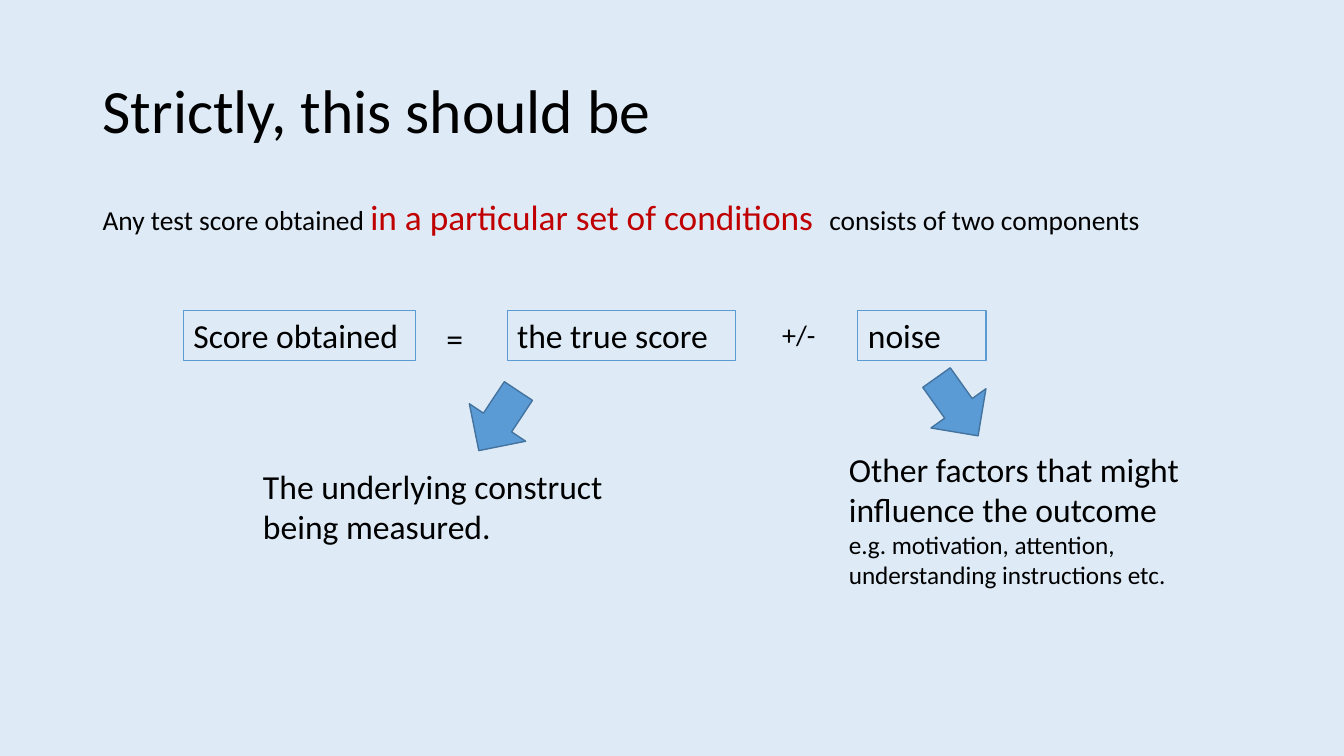
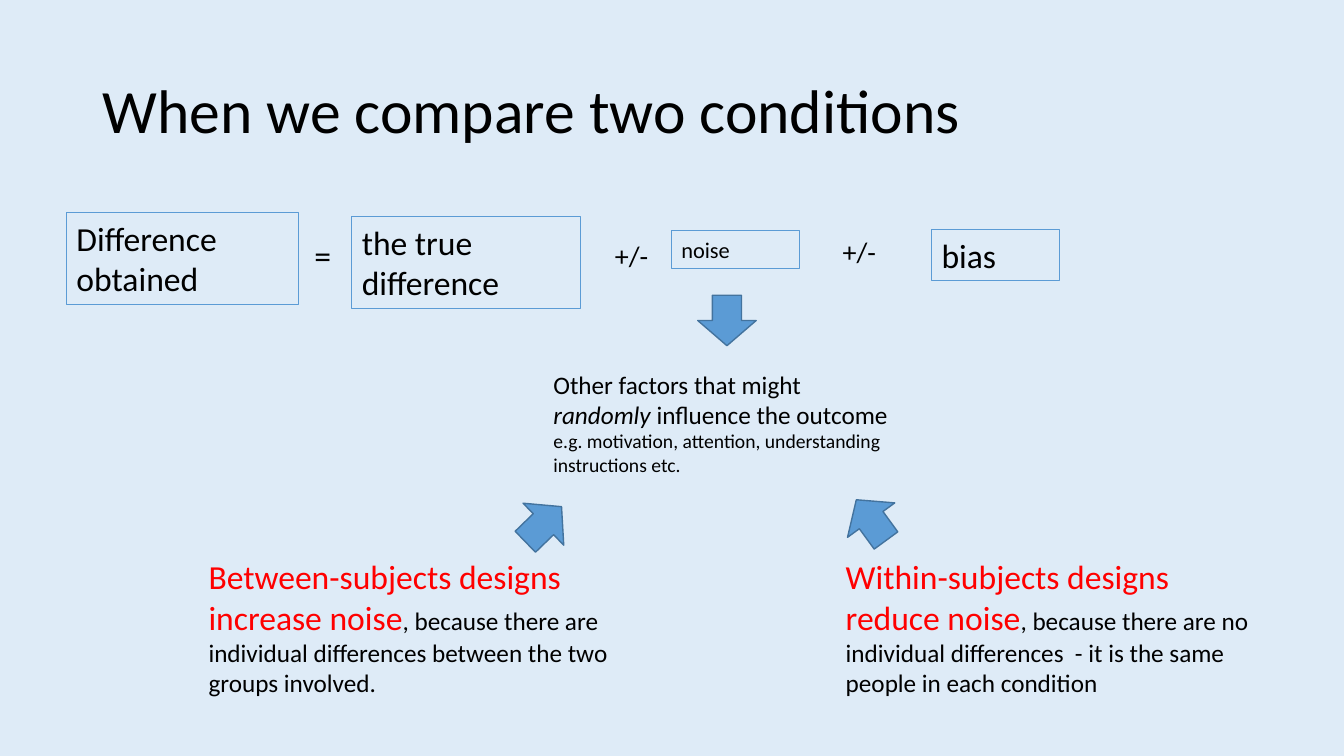
from pptx import Presentation
from pptx.dml.color import RGBColor
from pptx.enum.shapes import MSO_SHAPE
from pptx.enum.text import MSO_ANCHOR, PP_ALIGN
from pptx.util import Inches, Pt

FONT = "Calibri"
PALE, BLUE, EDGE = "DEEBF7", "5B9BD5", "43739E"
BLACK, CRIMSON, RED = "000000", "C00000", "FF0000"
TITLE_AT = (0.92, 0.4, 11.5, 1.45)
EXAMPLES = "e.g. motivation, attention, understanding instructions etc."

# A paragraph is (size, runs); a run is a string or (string, its own format).
# Terms and notes: (left, top, width, height), paragraphs.
# Arrows: (left, top, width, height), rotation.
SLIDES = [
    {
        "title": "Strictly, this should be",
        "lead": ((0.92, 2, 11.5, 0.66), [(19.6, [
            "Any test score obtained ",
            ("in a particular set of conditions  ", {"size": 25.2, "color": CRIMSON}),
            "consists of two components"])]),
        "terms": [
            ((1.82, 3.08, 2.3, 0.5), [(24, ["Score obtained"])]),
            ((5.03, 3.08, 2.27, 0.5), [(24, ["the true score"])]),
            ((8.51, 3.08, 1.27, 0.5), [(24, ["noise"])]),
        ],
        "notes": [
            ((4.33, 3.1, 0.47, 0.5), [(24, ["="])]),
            ((7.66, 3.1, 0.67, 0.44), [(20, ["+/-"])]),
            ((2.51, 4.57, 3.65, 0.91),
             [(24, ["The underlying construct being measured."])]),
            ((8.32, 4.4, 4.29, 1.51), [
                (24, ["Other factors that might influence the outcome"]),
                (18, [EXAMPLES])]),
        ],
        "arrows": [((4.61, 3.82, 0.67, 0.71), 33.6),
                   ((9.16, 3.68, 0.67, 0.71), 324.5)],
    },
    {
        "title": "When we compare two conditions",
        "terms": [
            ((0.66, 2.11, 2.3, 0.91), [(24, ["Difference obtained"])]),
            ((3.49, 2.15, 2.27, 0.91), [(24, ["the true difference"])]),
            ((6.66, 2.29, 1.27, 0.37), [(16, ["noise"])]),
            ((9.24, 2.28, 1.27, 0.5), [(24, ["bias"])]),
        ],
        "notes": [
            ((3.02, 2.28, 0.47, 0.5), [(24, ["="])]),
            ((6, 2.32, 0.67, 0.44), [(20, ["+/-"])]),
            ((8.26, 2.28, 0.67, 0.44), [(20, ["+/-"])]),
            ((5.39, 3.61, 3.65, 1.18), [
                (18, ["Other factors that might ", ("randomly", {"italic": True}),
                      " influence the outcome"]),
                (14, [EXAMPLES])]),
            ((1.97, 5.47, 4.36, 1.51), [(18, [
                ("Between-subjects designs increase noise", {"size": 24, "color": RED}),
                ", because there are individual differences between the two "
                "groups involved."])]),
            ((8.29, 5.47, 4.36, 1.51), [(18, [
                ("Within-subjects designs reduce noise", {"size": 24, "color": RED}),
                ", because there are no individual differences  - it is the same "
                "people in each condition"])]),
        ],
        "arrows": [((6.92, 2.93, 0.58, 0.5), 0),
                   ((5.1, 4.95, 0.58, 0.5), 225.9),
                   ((8.35, 4.91, 0.58, 0.5), 143.9)],
    },
]


def rgb(color):
    return RGBColor.from_string(color)


def style(font, size=None, color=None, italic=None):
    """Set only the given properties; the rest is inherited."""
    if size:
        font.size = Pt(size)
    if color:
        font.color.rgb = rgb(color)
    if italic:
        font.italic = True


def write(shape, paras, spacing=None, before=None, anchor=MSO_ANCHOR.TOP):
    frame = shape.text_frame
    frame.word_wrap = True
    frame.vertical_anchor = anchor
    for i, (size, runs) in enumerate(paras):
        para = frame.add_paragraph() if i else frame.paragraphs[0]
        para.alignment = PP_ALIGN.LEFT
        para.line_spacing = spacing
        para.space_before = before
        para.font.name = FONT
        style(para.font, size, BLACK)
        for item in runs:
            text, look = (item, {}) if isinstance(item, str) else item
            run = para.add_run()
            run.text = text
            style(run.font, **look)


def add_text(slide, box, paras, **layout):
    write(slide.shapes.add_textbox(*map(Inches, box)), paras, **layout)


def add_form(slide, kind, box, line, width):
    shape = slide.shapes.add_shape(kind, *map(Inches, box))
    shape.shadow.inherit = False
    shape.line.color.rgb = rgb(line)
    shape.line.width = Pt(width)
    return shape


def add_term(slide, box, paras):
    shape = add_form(slide, MSO_SHAPE.RECTANGLE, box, BLUE, 0.75)
    shape.fill.background()
    write(shape, paras)


def add_arrow(slide, box, turn):
    shape = add_form(slide, MSO_SHAPE.DOWN_ARROW, box, EDGE, 1)
    shape.fill.solid()
    shape.fill.fore_color.rgb = rgb(BLUE)
    shape.rotation = turn


def build(slide, data):
    add_text(slide, TITLE_AT, [(44, [data["title"]])],
             spacing=0.9, anchor=MSO_ANCHOR.MIDDLE)
    if "lead" in data:
        add_text(slide, *data["lead"], spacing=0.7, before=Pt(10))
    for add, key in ((add_term, "terms"), (add_text, "notes"), (add_arrow, "arrows")):
        for part in data[key]:
            add(slide, *part)


def main():
    prs = Presentation()
    prs.slide_width, prs.slide_height = Inches(13.33), Inches(7.5)
    back = prs.slide_master.background.fill
    back.solid()
    back.fore_color.rgb = rgb(PALE)
    for data in SLIDES:
        build(prs.slides.add_slide(prs.slide_layouts[6]), data)
    prs.save("out.pptx")


if __name__ == "__main__":
    main()
